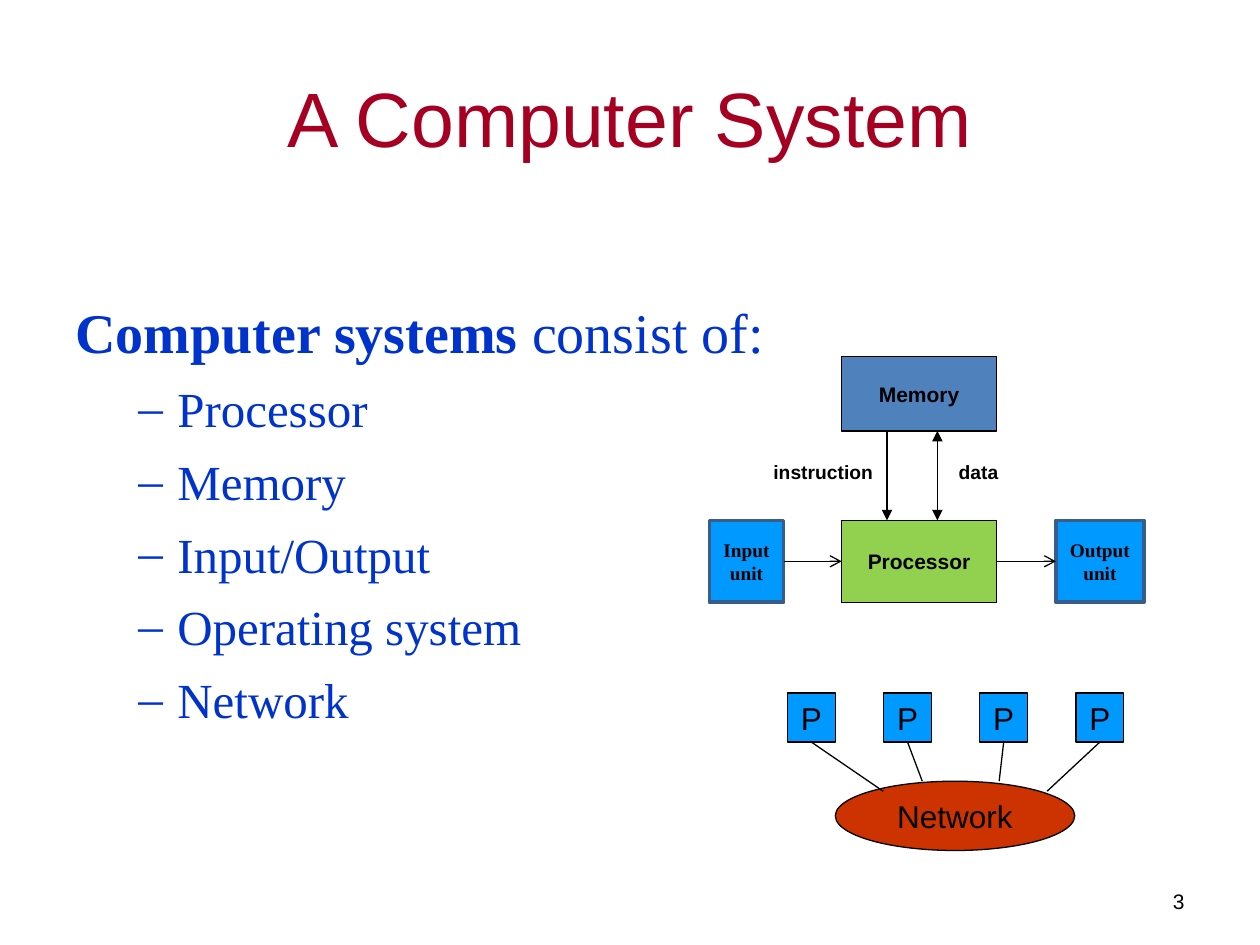
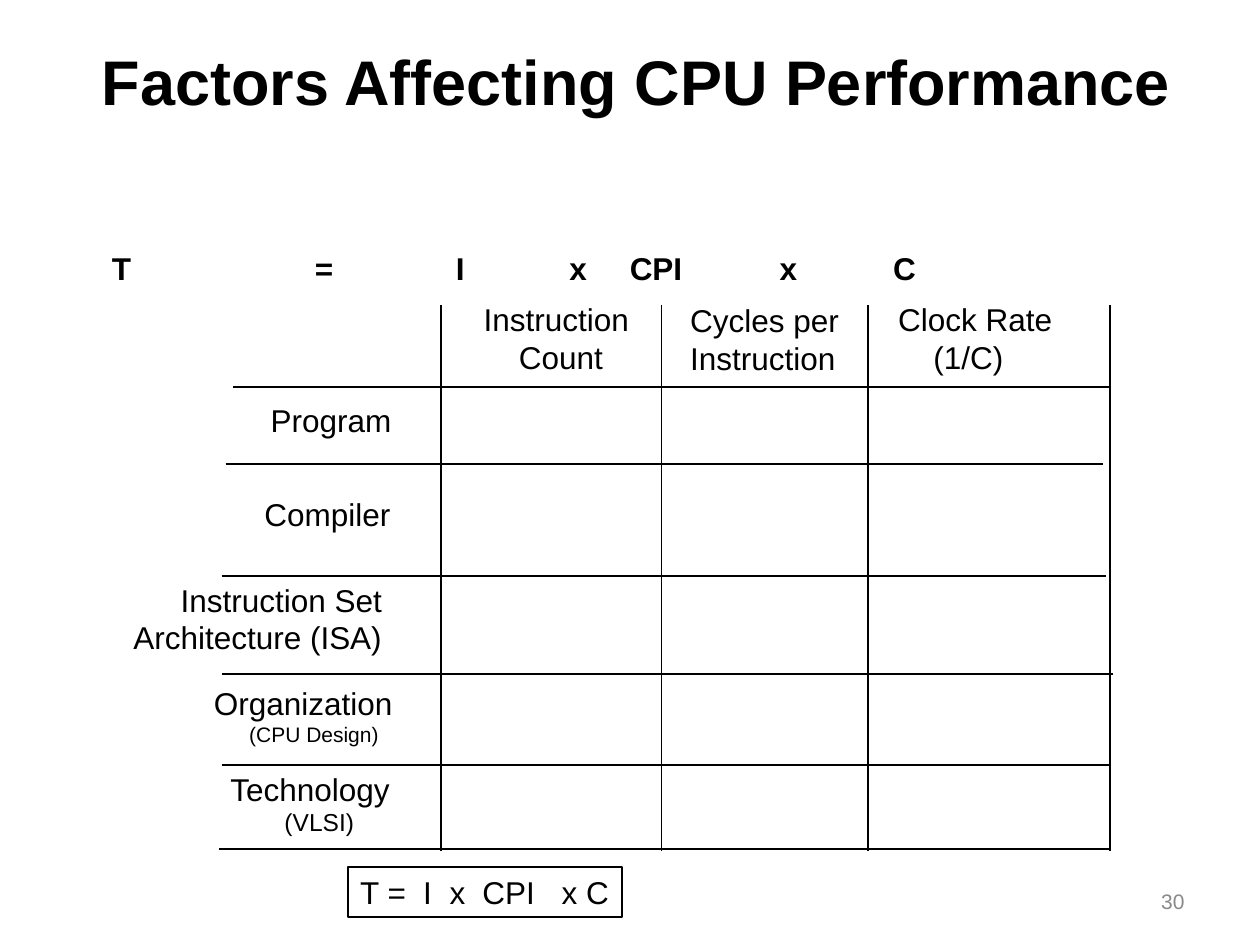
from lxml import etree
from pptx import Presentation, util as u
from pptx.dml.color import RGBColor
from pptx.enum import shapes, text
from pptx.oxml import ns

COLUMNS, ROWS = 100, 75
SLIDE_WIDTH, SLIDE_HEIGHT = u.Inches(10), u.Inches(7.5)
BLACK, WHITE, GREY = "000000", "FFFFFF", "898989"
CRIMSON, BLUE, SKY, STEEL = "A50021", "0033CC", "0099FF", "385D8A"
MEMORY_BLUE, LIME, RUST = "4F81BD", "92D050", "CC3300"
SANS, SERIF = "Arial", "Times New Roman"
LEFT, CENTER, RIGHT = text.PP_ALIGN.LEFT, text.PP_ALIGN.CENTER, text.PP_ALIGN.RIGHT
TOP, MIDDLE = text.MSO_ANCHOR.TOP, text.MSO_ANCHOR.MIDDLE
BOTTOM_SITE, LEFT_SITE, RIGHT_SITE = 2, 1, 3


def color(value):
    """Return the colour for a hex string."""
    return RGBColor.from_string(value)


def across(columns):
    """Convert grid columns to a length."""
    return u.Emu(round(SLIDE_WIDTH * columns / COLUMNS))


def down(rows):
    """Convert grid rows to a length."""
    return u.Emu(round(SLIDE_HEIGHT * rows / ROWS))


def place(left, top, width, height):
    """Convert a grid rectangle to lengths."""
    return across(left), down(top), across(width), down(height)


def add_element(parent, tag, **attributes):
    """Append a drawing element and return it."""
    return etree.SubElement(parent, ns.qn(tag), attributes)


def set_indent(paragraph, margin, hanging=0, bullet=None):
    """Indent a paragraph by grid columns, with an optional bullet."""
    properties = paragraph._p.get_or_add_pPr()
    properties.set("marL", str(across(margin)))
    properties.set("indent", str(-across(hanging)))
    if bullet:
        add_element(properties, "a:buFont", typeface=SERIF)
        add_element(properties, "a:buChar", char=bullet)


def set_tabs(paragraph, stops):
    """Set left tab stops at the given grid columns."""
    tab_list = add_element(paragraph._p.get_or_add_pPr(), "a:tabLst")
    for stop in stops:
        add_element(tab_list, "a:tab", pos=str(across(stop)), algn="l")


def add_run(paragraph, words, size=18, font=SANS, ink=BLACK, bold=False):
    """Add one formatted run."""
    run = paragraph.add_run()
    run.text = words
    run.font.size, run.font.name, run.font.bold = u.Pt(size), font, bold
    run.font.color.rgb = color(ink)


def write(shape, words, align=LEFT, anchor=TOP, wrap=True, inset=(1, 0.5), tabs=(), **style):
    """Write one formatted paragraph into a shape and return it."""
    frame = shape.text_frame
    frame.word_wrap, frame.vertical_anchor = wrap, anchor
    frame.margin_left = frame.margin_right = across(inset[0])
    frame.margin_top = frame.margin_bottom = down(inset[1])
    paragraph = frame.paragraphs[0]
    if tabs:
        set_tabs(paragraph, tabs)
    paragraph.alignment = align
    add_run(paragraph, words, **style)
    return paragraph


def add_text(slide, area, words, **style):
    """Add a text box and return its shape."""
    box = slide.shapes.add_textbox(*place(*area))
    write(box, words, **style)
    return box


def add_box(slide, area, words, fill, kind=shapes.MSO_SHAPE.RECTANGLE,
            line=BLACK, weight=0.75, align=CENTER, anchor=MIDDLE, **style):
    """Add a filled, outlined shape with text."""
    shape = slide.shapes.add_shape(kind, *place(*area))
    shape.shadow.inherit = False
    shape.fill.solid()
    shape.fill.fore_color.rgb = color(fill)
    shape.line.color.rgb = color(line)
    shape.line.width = u.Pt(weight)
    write(shape, words, align=align, anchor=anchor, **style)
    return shape


def add_line(slide, start, end, weight=0.75, head=None, tail=None, source=None, target=None):
    """Draw a line between grid points, joined to (shape, site) pairs if given."""
    line = slide.shapes.add_connector(
        shapes.MSO_CONNECTOR.STRAIGHT,
        across(start[0]), down(start[1]), across(end[0]), down(end[1]))
    if source:
        line.begin_connect(*source)
    if target:
        line.end_connect(*target)
    line.line.color.rgb = color(BLACK)
    line.line.width = u.Pt(weight)
    outline = line.line._get_or_add_ln()
    for tag, arrow in (("a:headEnd", head), ("a:tailEnd", tail)):
        if arrow:
            add_element(outline, tag, type=arrow)
    add_element(line._element.spPr, "a:effectLst")


def add_slide(presentation, number, number_ink):
    """Add a blank slide with its page number."""
    slide = presentation.slides.add_slide(presentation.slide_layouts[6])
    add_text(slide, (71.7, 69.5, 23.3, 4), number, size=12, ink=number_ink,
             align=RIGHT, anchor=MIDDLE)
    return slide


def add_parts_list(slide):
    """List the parts of a computer system."""
    body = add_text(slide, (5, 23.1, 60, 36), "Computer systems ",
                    size=32, font=SERIF, ink=BLUE, bold=True)
    frame = body.text_frame
    add_run(frame.paragraphs[0], "consist of:", size=32, font=SERIF, ink=BLUE)
    for part in ("Processor", "Memory", "Input/Output", "Operating system", "Network"):
        paragraph = frame.add_paragraph()
        set_indent(paragraph, 8.1, 3.1, "–")
        paragraph.space_before = u.Pt(8)
        add_run(paragraph, part, size=28, font=SERIF, ink=BLUE)


def add_processor_diagram(slide):
    """Draw memory, processor and the input and output units."""
    core = dict(size=12, bold=True)
    unit = dict(line=STEEL, weight=2, size=11, font=SERIF, bold=True)
    add_box(slide, (66.8, 28.3, 12.3, 5.9), "Memory", MEMORY_BLUE, **core)
    processor = add_box(slide, (66.8, 41.3, 12.3, 6.5), "Processor", LIME, **core)
    input_unit = add_box(slide, (56.3, 41.3, 5.9, 6.5), "Input unit", SKY, **unit)
    output_unit = add_box(slide, (83.8, 41.3, 7, 6.5), "Output unit", SKY, **unit)
    for column, head in ((70.4, None), (74.4, "triangle")):
        add_line(slide, (column, 34.2), (column, 41.3), head=head, tail="triangle")
    for left, words in ((60.4, "instruction"), (75.1, "data")):
        add_text(slide, (left, 36, 11, 2.9), words, size=11, bold=True)
    for source, target in ((input_unit, processor), (processor, output_unit)):
        add_line(slide, (0, 0), (0, 0), tail="arrow",
                 source=(source, RIGHT_SITE), target=(target, LEFT_SITE))


def add_network_diagram(slide):
    """Draw four processors joined to a network."""
    add_box(slide, (66.3, 62, 19, 5.5), "Network", RUST,
            kind=shapes.MSO_SHAPE.OVAL, wrap=False)
    ends = ((70.1, 62.8), (73.2, 62), (79.3, 62), (83.1, 62.8))
    for index, end in enumerate(ends):
        node = add_box(slide, (62.5 + index * 7.63, 55, 3.8, 3.9), "P", SKY, wrap=False)
        add_line(slide, (0, 0), end, source=(node, BOTTOM_SITE))


def add_label(slide, left, top, first, second=None, size=18, indent=0, align=LEFT):
    """Add a table label of one or two lines."""
    box = add_text(slide, (left, top, 21.7, 7 if second else 4), first, align=align)
    if second:
        paragraph = box.text_frame.add_paragraph()
        set_indent(paragraph, indent)
        paragraph.alignment = align
        add_run(paragraph, second, size=size)


def add_factor_grid(slide):
    """Draw the open grid of factors with its labels."""
    for row, left, right in ((30.7, 18.5, 88.1), (36.8, 17.9, 87.5), (45.7, 17.6, 87.8),
                             (53.5, 17.6, 88.3), (60.7, 17.6, 88.1), (67.4, 17.4, 88.1)):
        add_line(slide, (left, row), (right, row), weight=1)
    for column in (35, 52.5, 68.9, 88.1):
        add_line(slide, (column, 24.2), (column, 67.5), weight=1)
    add_label(slide, 37.4, 23.3, "Instruction", "Count", indent=2.8)
    add_label(slide, 53.8, 23.4, "Cycles per", "Instruction")
    add_label(slide, 70.3, 23.3, "Clock Rate", "(1/C)", indent=2.8)
    add_label(slide, 20.5, 31.3, "Program")
    add_label(slide, 20, 38.8, "Compiler")
    add_label(slide, 9.6, 45.6, "Instruction Set", "Architecture (ISA)", align=RIGHT)
    add_label(slide, 16, 53.8, "Organization", "(CPU Design)", size=12, indent=2.8)
    add_label(slide, 17.3, 60.6, "Technology", "(VLSI)", size=14, indent=4.3)


def build_system_slide(presentation):
    """Build the computer system slide."""
    slide = add_slide(presentation, "3", BLACK)
    add_text(slide, (5, 3, 90, 12.5), "A Computer System", size=44, ink=CRIMSON,
             align=CENTER, anchor=MIDDLE)
    add_parts_list(slide)
    add_processor_diagram(slide)
    add_network_diagram(slide)


def build_performance_slide(presentation):
    """Build the CPU performance slide."""
    slide = add_slide(presentation, "30", GREY)
    add_text(slide, (7, 3.1, 87, 6.6), "Factors Affecting CPU Performance", size=36,
             bold=True, align=CENTER, inset=(0.7, 0.3))
    add_factor_grid(slide)
    add_text(slide, (7.9, 19.3, 70, 4), "T\t=\tI\tx\tCPI\tx\tC", bold=True,
             tabs=(16.1, 27.3, 36.3, 41.1, 53, 62))
    add_box(slide, (27.6, 68.8, 21.8, 4), "T =\tI\tx\tCPI\tx C", WHITE, weight=1,
            align=LEFT, anchor=TOP, tabs=(5, 7.1, 9.7, 16))


def main():
    """Build and save the presentation."""
    presentation = Presentation()
    presentation.slide_width, presentation.slide_height = SLIDE_WIDTH, SLIDE_HEIGHT
    build_system_slide(presentation)
    build_performance_slide(presentation)
    presentation.save("out.pptx")


if __name__ == "__main__":
    main()
